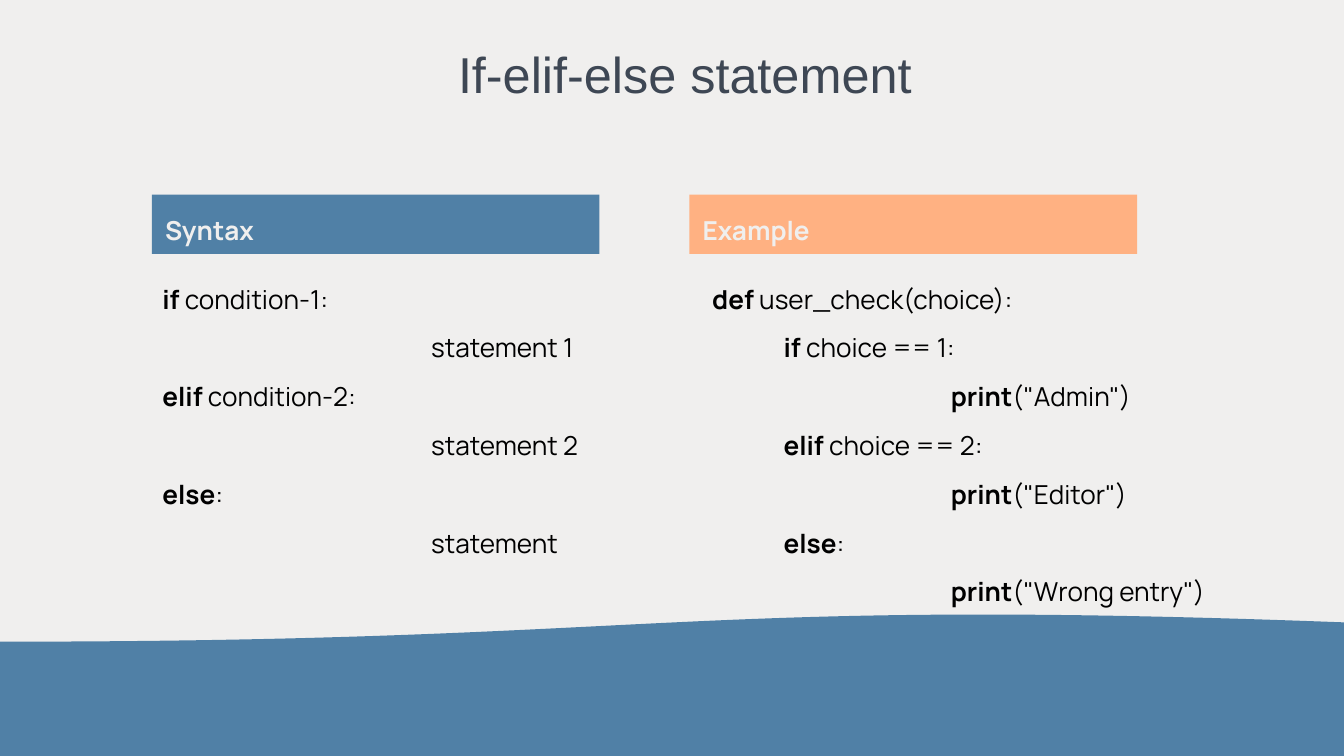
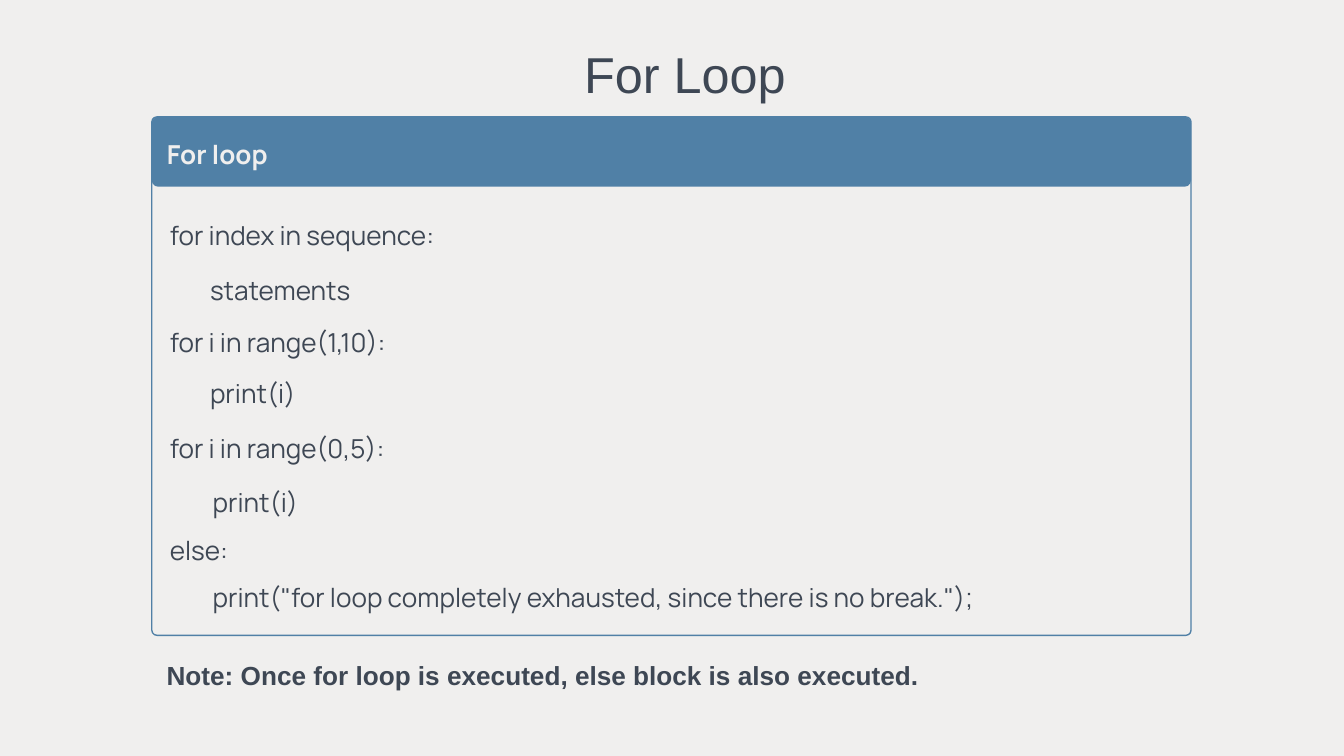
from pptx import Presentation
from pptx.dml.color import RGBColor
from pptx.enum.shapes import MSO_SHAPE
from pptx.enum.text import MSO_ANCHOR, PP_ALIGN
from pptx.util import Cm, Pt

PAPER = RGBColor(0xF0, 0xEF, 0xEE)
BLUE = RGBColor(0x50, 0x80, 0xA6)
ORANGE = RGBColor(0xFF, 0xB1, 0x82)
SLATE = RGBColor(0x3E, 0x47, 0x54)
BLACK = RGBColor(0, 0, 0)

RECT, ROUNDED, WAVE = MSO_SHAPE.RECTANGLE, MSO_SHAPE.ROUNDED_RECTANGLE, MSO_SHAPE.FLOWCHART_DOCUMENT
TOP, MIDDLE = MSO_ANCHOR.TOP, MSO_ANCHOR.MIDDLE
LEFT, CENTER = PP_ALIGN.LEFT, PP_ALIGN.CENTER

CODE_FONT, PLAIN_FONT = "Manrope", "Arial"
PAGE_WIDTH, PAGE_HEIGHT = 25.4, 14.29
MARGIN = 2.87
PAD = 0.25

# Code lines: indent in cm, bold keyword, rest of the line
STEP = 5.08
SYNTAX = [
    (0, "if", " condition-1:"),
    (STEP, "", "statement 1"),
    (0, "elif", " condition-2:"),
    (STEP, "", "statement 2"),
    (0, "else", ":"),
    (STEP, "", "statement"),
]
BODY, BRANCH = 1.35, 4.51
EXAMPLE = [
    (0, "def", " user_check(choice):"),
    (BODY, "if", " choice == 1:"),
    (BRANCH, "print", "(\"Admin\")"),
    (BODY, "elif", " choice == 2:"),
    (BRANCH, "print", "(\"Editor\")"),
    (BODY, "else", ":"),
    (BRANCH, "print", "(\"Wrong entry\")"),
]
# Loop lines: indent in cm, space before in pt, line spacing, text
LOOPS = [
    (0.03, 0, 1.64, "for index in sequence:"),
    (0.79, 2.1, 1.64, "statements"),
    (0.03, 0.1, 1.64, "for i in range(1,10):"),
    (0.79, 0.1, 1.64, "print(i)"),
    (0.03, 12.4, 1, "for i in range(0,5):"),
    (0.84, 12.4, 1, "print(i)"),
    (0.03, 8.7, 1, "else:"),
    (0.84, 8.7, 1, "print(\"for loop completely exhausted, since there is no break.\");"),
]


def add_page(deck, title):
    page = deck.slides.add_slide(deck.slide_layouts[6])
    page.background.fill.solid()
    page.background.fill.fore_color.rgb = PAPER
    frame = add_text_box(page, 2.24, 0.76, 21.41, 1.4, anchor=MIDDLE)
    add_line(frame, [(title, False)], SLATE, PLAIN_FONT, 27, spacing=0.9, align=CENTER)
    return page


def prepare_frame(frame, inset, anchor):
    frame.word_wrap = True
    frame.vertical_anchor = anchor
    frame.margin_left = frame.margin_right = Cm(inset)
    frame.margin_top = frame.margin_bottom = Cm(inset)
    return frame


def add_text_box(page, left, top, width, height, inset=0, anchor=TOP):
    box = page.shapes.add_textbox(Cm(left), Cm(top), Cm(width), Cm(height))
    return prepare_frame(box.text_frame, inset, anchor)


def add_line(frame, spans, color, font=CODE_FONT, size=14, spacing=1.2,
             before=0, indent=0, align=LEFT):
    """Append a paragraph made of (text, bold) spans, using the empty first one if free."""
    para = frame.paragraphs[0]
    if para.runs:
        para = frame.add_paragraph()
    para.alignment = align
    para.line_spacing = spacing
    para.space_before = Pt(before)
    if indent:
        properties = para._p.get_or_add_pPr()
        properties.set("marL", str(Cm(indent)))
        properties.set("indent", "0")
    for text, bold in spans:
        if text:
            span = para.add_run()
            span.text = text
            span.font.name = font
            span.font.size = Pt(size)
            span.font.bold = bold
            span.font.color.rgb = color


def add_block(page, kind, left, top, width, height, fill=None, line=None):
    block = page.shapes.add_shape(kind, Cm(left), Cm(top), Cm(width), Cm(height))
    block.shadow.inherit = False
    if fill is None:
        block.fill.background()
    else:
        block.fill.solid()
        block.fill.fore_color.rgb = fill
    if line is None:
        block.line.fill.background()
    else:
        block.line.color.rgb = line
        block.line.width = Pt(0.75)
    return block


def add_header(page, kind, left, top, width, height, label, fill):
    header = add_block(page, kind, left, top, width, height, fill)
    frame = prepare_frame(header.text_frame, PAD, TOP)
    add_line(frame, [(label, True)], PAPER)
    return header


def add_wave(page):
    height = 2.77
    wave = add_block(page, WAVE, 0, PAGE_HEIGHT + 0.06 - height, PAGE_WIDTH, height, BLUE)
    wave.rotation = 180


def add_code_column(page, left, top, label, fill, lines, code_offset, code_width):
    add_header(page, RECT, left, top, 8.46, 1.12, label, fill)
    frame = add_text_box(page, left + code_offset, top + 1.55, code_width, len(lines) * 1.02)
    for number, (indent, keyword, rest) in enumerate(lines):
        add_line(frame, [(keyword, True), (rest, False)], BLACK,
                 before=6 if number else 0, indent=indent)


def add_loop_panel(page, left, top, width, height):
    frame = add_text_box(page, left + 0.31, top + 1.55, width - 0.56, height - 1.9)
    for indent, before, spacing, text in LOOPS:
        add_line(frame, [(text, False)], SLATE, spacing=spacing, before=before, indent=indent)
    header = add_header(page, ROUNDED, left, top, width, 1.32, "For loop", BLUE)
    header.adjustments[0] = 0.09
    border = add_block(page, ROUNDED, left, top, width, height, line=BLUE)
    border.adjustments[0] = 0.01


def add_note(page, left, top, width, height):
    frame = add_text_box(page, left, top, width, height, PAD)
    text = "Note: Once for loop is executed, else block is also executed."
    add_line(frame, [(text, True)], SLATE, PLAIN_FONT, spacing=1, indent=0.03)


def build_branch_page(deck):
    page = add_page(deck, "If-elif-else statement")
    add_wave(page)
    add_code_column(page, MARGIN, 3.68, "Syntax", BLUE, SYNTAX, 0.2, 10.8)
    add_code_column(page, MARGIN + 10.16, 3.68, "Example", ORANGE, EXAMPLE, 0.43, 9.4)


def build_loop_page(deck):
    page = add_page(deck, "For Loop")
    add_loop_panel(page, MARGIN, 2.21, 19.64, 9.8)
    add_note(page, MARGIN, 12.22, 15.6, 1.12)


def main():
    deck = Presentation()
    deck.slide_width, deck.slide_height = Cm(PAGE_WIDTH), Cm(PAGE_HEIGHT)
    build_branch_page(deck)
    build_loop_page(deck)
    deck.save("out.pptx")


if __name__ == "__main__":
    main()
